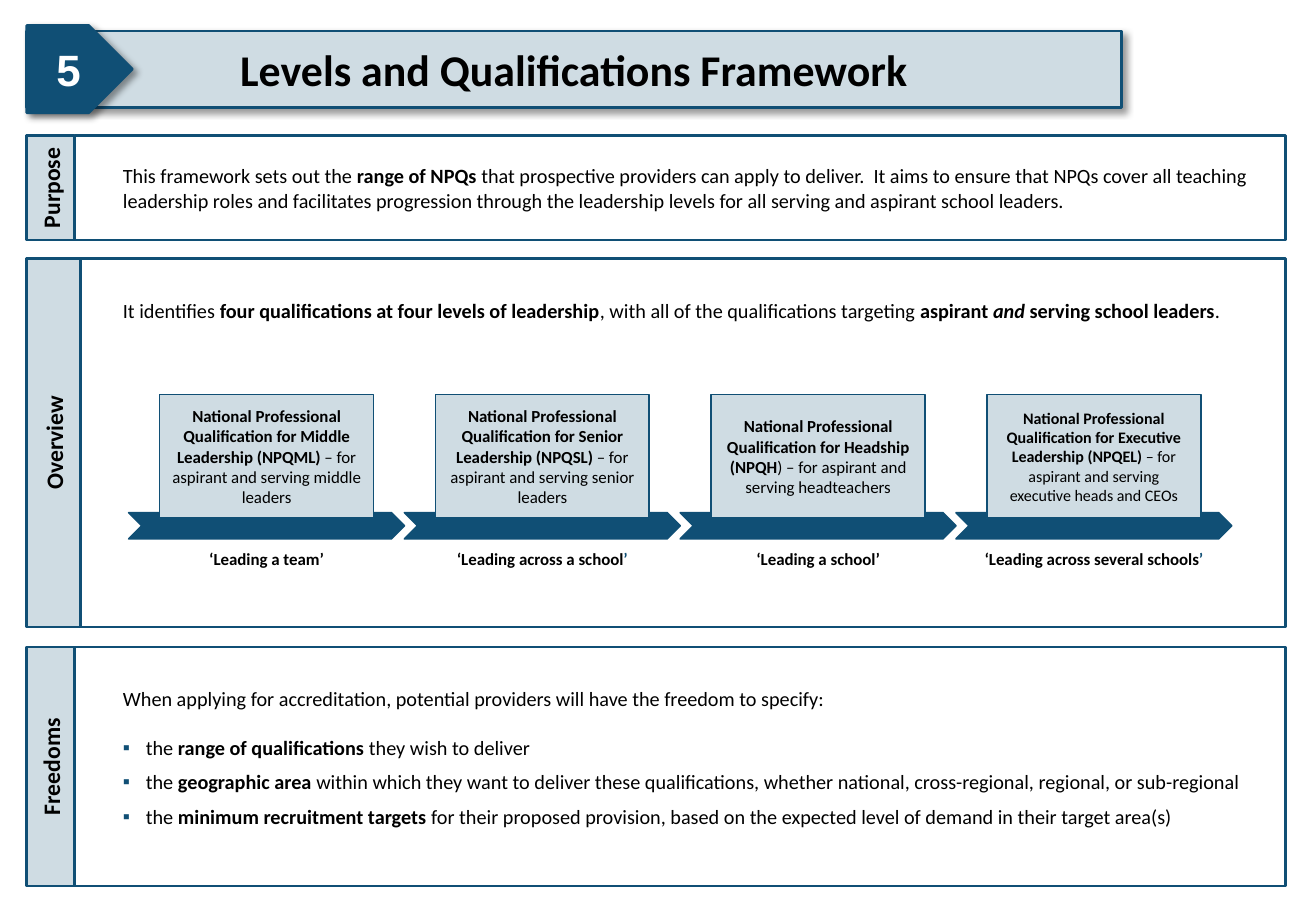
import lxml.etree
import pptx
import pptx.dml.color
import pptx.enum.shapes
import pptx.enum.text
import pptx.oxml
import pptx.oxml.ns
import pptx.util

Cm, Pt = pptx.util.Cm, pptx.util.Pt
SHAPE = pptx.enum.shapes.MSO_SHAPE
ALIGN = pptx.enum.text.PP_ALIGN
ANCHOR = pptx.enum.text.MSO_ANCHOR
NAVY = pptx.dml.color.RGBColor(0x10, 0x4F, 0x75)
PALE = pptx.dml.color.RGBColor(0xCF, 0xDC, 0xE3)
WHITE = pptx.dml.color.RGBColor(0xFF, 0xFF, 0xFF)
BLACK = pptx.dml.color.RGBColor(0, 0, 0)
BODY_INSETS = (1.0, 0.3, 0.4, 0.3)  # left, top, right, bottom
TOP_INSETS = (1.0, 0.82, 0.4, 0.3)

# Each run is (text, style): b bold, i italic, n navy
PURPOSE = [[
    ("This framework sets out the ", ""), ("range of NPQs ", "b"),
    ("that prospective providers can apply to deliver.  It aims to ensure that NPQs cover "
     "all teaching leadership roles and facilitates progression through the leadership "
     "levels for all serving and aspirant school leaders.", "")]]
OVERVIEW = [[
    ("It identifies ", ""), ("four qualifications at four levels of leadership", "b"),
    (", with all of the qualifications targeting ", ""), ("aspirant ", "b"), ("and", "bi"),
    (" serving school leaders", "b"), (".", "")]]
FREEDOMS = [
    [("When applying for accreditation, potential providers will have the freedom to specify:",
      "")],
    [("the ", ""), ("range of qualifications ", "b"), ("they wish to deliver", "")],
    [("the ", ""), ("geographic area ", "b"),
     ("within which they want to deliver these qualifications, whether national, "
      "cross-regional, regional, or sub-regional", "")],
    [("the ", ""), ("minimum recruitment targets ", "b"),
     ("for their proposed provision, based on the expected level of demand in their "
      "target area(s)", "")]]
# Qualification, audience, text size, caption runs
LEVELS = [
    ("National Professional Qualification for Middle Leadership (NPQML) ",
     "– for aspirant and serving middle leaders", 10,
     [("‘Leading a team’", "b")]),
    ("National Professional Qualification for Senior Leadership (NPQSL) ",
     "– for aspirant and serving senior leaders", 10,
     [("‘Leading across a school", "b"), ("’", "bn")]),
    ("National Professional Qualification for Headship (NPQH",
     ") – for aspirant and serving headteachers", 10,
     [("‘Leading a school’", "b")]),
    ("National Professional Qualification for Executive Leadership (NPQEL) ",
     "– for aspirant and serving executive heads and CEOs", 9.5,
     [("‘Leading across several schools", "b"), ("’", "bn")])]


def write(shape, paragraphs, size, align=ALIGN.CENTER, anchor=ANCHOR.MIDDLE,
          insets=(0.25, 0.13, 0.25, 0.13), color=BLACK, font="Calibri"):
    frame = shape.text_frame
    frame.word_wrap = True
    frame.vertical_anchor = anchor
    (frame.margin_left, frame.margin_top,
     frame.margin_right, frame.margin_bottom) = map(Cm, insets)
    for number, runs in enumerate(paragraphs):
        paragraph = frame.add_paragraph() if number else frame.paragraphs[0]
        paragraph.alignment = align
        for text, style in runs:
            run = paragraph.add_run()
            run.text = text
            run.font.name, run.font.size = font, Pt(size)
            run.font.bold, run.font.italic = "b" in style, "i" in style
            run.font.color.rgb = NAVY if "n" in style else color


def add_block(slide, kind, left, top, width, height, fill, line=1.5):
    block = slide.shapes.add_shape(kind, Cm(left), Cm(top), Cm(width), Cm(height))
    block.shadow.inherit = False
    block.fill.solid()
    block.fill.fore_color.rgb = fill
    block.line.color.rgb = NAVY
    block.line.width = Pt(line)
    return block


def cast_shadow(block):
    effects = block.element.spPr.find(pptx.oxml.ns.qn("a:effectLst"))
    effects.append(pptx.oxml.parse_xml(
        f'<a:outerShdw {pptx.oxml.ns.nsdecls("a")} blurRad="{Pt(4)}" dist="{Pt(3)}" '
        'dir="2700000" algn="tl" rotWithShape="0"><a:srgbClr val="000000">'
        '<a:alpha val="40000"/></a:srgbClr></a:outerShdw>'))


def add_bullet(paragraph):
    properties = paragraph._p.get_or_add_pPr()
    properties.set("marL", str(Cm(0.48)))
    properties.set("indent", str(-Cm(0.48)))
    color = lxml.etree.SubElement(properties, pptx.oxml.ns.qn("a:buClr"))
    lxml.etree.SubElement(color, pptx.oxml.ns.qn("a:srgbClr"), val=str(NAVY))
    lxml.etree.SubElement(properties, pptx.oxml.ns.qn("a:buFont"), typeface="Arial")
    lxml.etree.SubElement(properties, pptx.oxml.ns.qn("a:buChar"), char="▪")


def add_header(slide, left, top, width, height):
    # Title bar, then the numbered tag in front of it
    bar = add_block(slide, SHAPE.RECTANGLE, left, top + 0.12, width, height - 0.23, PALE)
    cast_shadow(bar)
    write(bar, [[("Levels and Qualifications Framework", "b")]], 26)
    tag = add_block(slide, SHAPE.PENTAGON, left, top, 2.21, height, NAVY)
    cast_shadow(tag)
    write(tag, [[("5", "b")]], 26, color=WHITE, font="Arial")


def add_panel(slide, left, top, width, height, label, paragraphs, tab_width=1.0,
              anchor=ANCHOR.TOP, insets=TOP_INSETS):
    body = add_block(slide, SHAPE.RECTANGLE, left + 1.01, top, width - 1.01, height, WHITE)
    write(body, paragraphs, 12, ALIGN.LEFT, anchor, insets)
    tab = add_block(slide, SHAPE.RECTANGLE, left, top, tab_width, height, PALE)
    write(tab, [[(label, "b")]], 14)
    tab.element.txBody.bodyPr.set("vert", "vert270")
    return body


def add_levels(slide, left, top, width, height):
    step = width / len(LEVELS)
    card_width, card_height, caption_width = 4.47, 2.59, 5.16
    for number, (qualification, audience, size, caption) in enumerate(LEVELS):
        x = left + number * step
        middle = x + step / 2
        # Arrow behind the card
        add_block(slide, SHAPE.CHEVRON, x, top + 2.47, step, 0.55, NAVY, 1)
        card = add_block(slide, SHAPE.RECTANGLE, middle - card_width / 2, top,
                         card_width, card_height, PALE, 1)
        write(card, [[(qualification, "b"), (audience, "")]], size)
        # Caption below
        label = slide.shapes.add_textbox(Cm(middle - caption_width / 2), Cm(top + height - 0.69),
                                         Cm(caption_width), Cm(0.69))
        write(label, [caption], 10, anchor=ANCHOR.TOP)


def add_freedoms(slide, left, top, width, height):
    body = add_panel(slide, left, top, width, height, "Freedoms", FREEDOMS)
    intro, *choices = body.text_frame.paragraphs
    intro.space_after = Pt(14.6)
    for choice in choices:
        choice.space_after = Pt(6)
        add_bullet(choice)


def main():
    deck = pptx.Presentation()
    deck.slide_width, deck.slide_height = Cm(27.51), Cm(19.05)
    slide = deck.slides.add_slide(deck.slide_layouts[6])
    left, width = 0.56, 26.31
    add_header(slide, left, 0.53, 22.89, 1.83)
    add_panel(slide, left, 2.84, width, 2.18, "Purpose", PURPOSE,
              anchor=ANCHOR.MIDDLE, insets=BODY_INSETS)
    add_panel(slide, left, 5.41, width, 7.7, "Overview", OVERVIEW, tab_width=1.12)
    add_levels(slide, 2.69, 8.25, 23.06, 3.79)
    add_freedoms(slide, left, 13.53, width, 5.0)
    deck.save("out.pptx")


if __name__ == "__main__":
    main()
